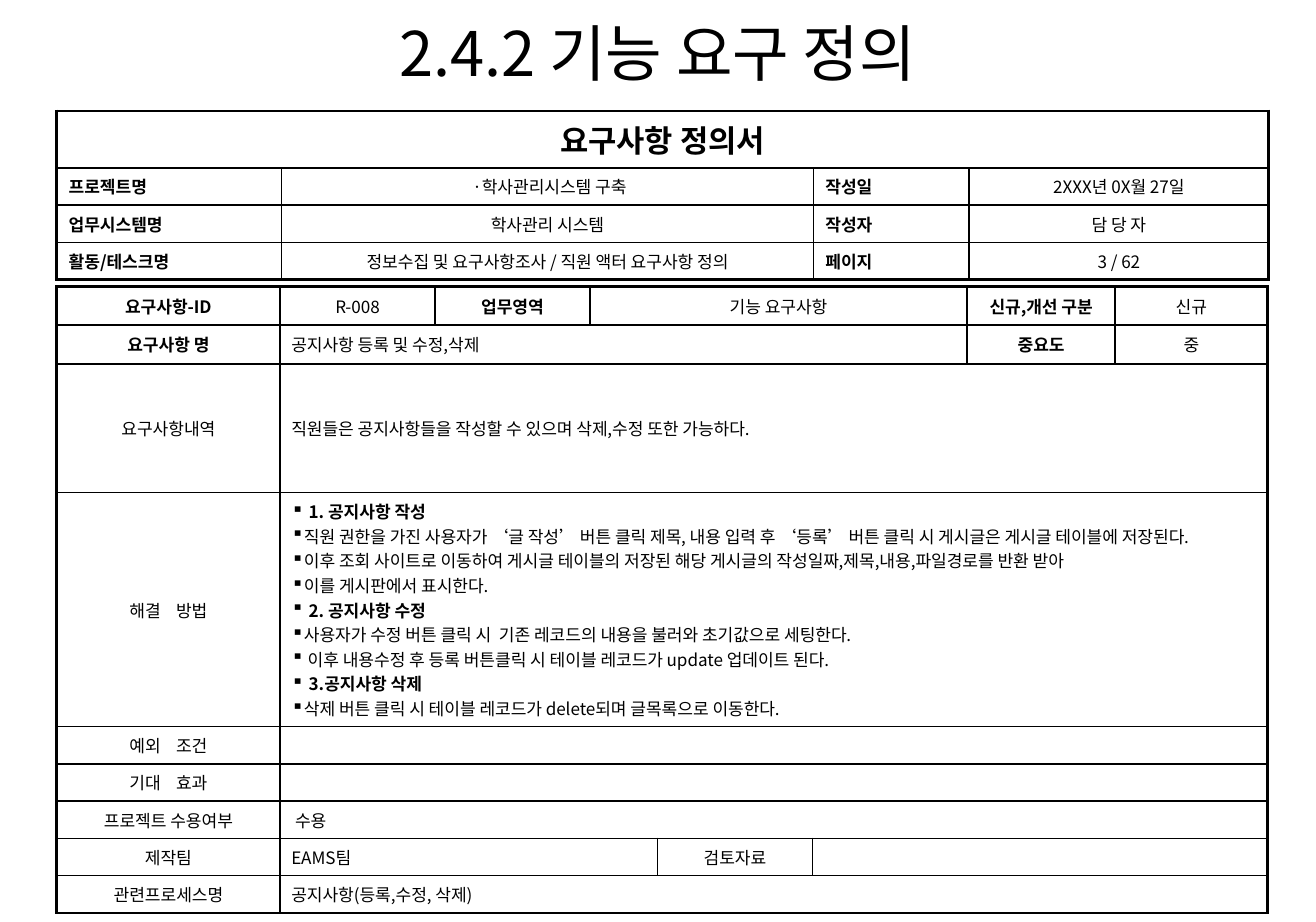
from dataclasses import dataclass

from lxml import etree
from pptx import Presentation
from pptx.dml.color import RGBColor
from pptx.enum import text
from pptx.oxml.ns import qn
from pptx.util import Cm, Pt


@dataclass(frozen=True)
class Theme:
    font: str = "Noto Sans CJK KR"
    ink: str = "000000"
    title: int = 36
    heading: int = 18
    body: int = 10
    thin: float = 1
    thick: float = 1.5


THEME = Theme()
TITLE = "2.4.2 기능 요구 정의"

# A cell is (text, style, columns spanned).
# Styles: h heading, k justified bold, b centred bold, c centred, l left, m method list
OVERVIEW = dict(
    at=(1.17, 2.29), inset=0.25, thick_lines={0, 4},
    cols=[4.65, 10.99, 3.22, 6.19], rows=[1.18] + [0.76] * 3,
    cells=[
        [("요구사항 정의서", "h", 4)],
        [("프로젝트명", "k", 1), (" ·학사관리시스템 구축", "c", 1),
         ("작성일", "k", 1), ("2XXX년 0X월 27일", "c", 1)],
        [("업무시스템명", "k", 1), ("학사관리 시스템", "c", 1),
         ("작성자", "k", 1), ("담 당 자", "c", 1)],
        [("활동/테스크명", "k", 1), ("정보수집 및 요구사항조사 / 직원 액터 요구사항 정의", "c", 1),
         ("페이지", "k", 1), ("3 / 62", "c", 1)],
    ])

METHOD = [
    ("1. 공지사항 작성", [
        "직원 권한을 가진 사용자가 ‘글 작성’ 버튼 클릭 제목, 내용 입력 후 ‘등록’ 버튼 클릭 시 게시글은 게시글 테이블에 저장된다.",
        "이후 조회 사이트로 이동하여 게시글 테이블의 저장된 해당 게시글의 작성일짜,제목,내용,파일경로를 반환 받아",
        "이를 게시판에서 표시한다."]),
    ("2. 공지사항 수정", [
        "사용자가 수정 버튼 클릭 시  기존 레코드의 내용을 불러와 초기값으로 세팅한다.",
        " 이후 내용수정 후 등록 버튼클릭 시 테이블 레코드가 update 업데이트 된다."]),
    ("3.공지사항 삭제", [
        "삭제 버튼 클릭 시 테이블 레코드가 delete되며 글목록으로 이동한다."]),
]
METHOD_LINES = [line for head, steps in METHOD
                for line in [(head, True)] + [(step, False) for step in steps]]

REQUIREMENT = dict(
    at=(1.17, 5.92), inset=0.23, thick_lines={0, 1, 2, 9},
    cols=[4.62, 3.2, 3.2, 1.4, 3.2, 3.2, 3.06, 3.15],
    rows=[0.8, 0.8, 2.66, 4.83] + [0.75] * 5,
    cells=[
        [("요구사항-ID", "b", 1), ("R-008", "c", 1), ("업무영역", "b", 1),
         ("기능 요구사항", "c", 3), ("신규,개선 구분", "b", 1), ("신규", "c", 1)],
        [("요구사항 명", "b", 1), ("공지사항 등록 및 수정,삭제", "l", 5),
         ("중요도", "b", 1), ("중", "c", 1)],
        [("요구사항내역", "c", 1),
         ("직원들은 공지사항들을 작성할 수 있으며 삭제,수정 또한 가능하다.", "l", 7)],
        [("해결    방법", "c", 1), ("\n".join(line for line, _ in METHOD_LINES), "m", 7)],
        [("예외    조건", "c", 1), ("", "l", 7)],
        [("기대    효과", "c", 1), ("", "l", 7)],
        [("프로젝트 수용여부", "c", 1), (" 수용", "l", 7)],
        [("제작팀", "c", 1), ("EAMS팀", "l", 3), ("검토자료", "c", 1), ("", "l", 3)],
        [("관련프로세스명", "c", 1), ("공지사항(등록,수정, 삭제)", "l", 7)],
    ])

ALIGN = dict(h=text.PP_ALIGN.CENTER, k=text.PP_ALIGN.JUSTIFY, b=text.PP_ALIGN.CENTER,
             c=text.PP_ALIGN.CENTER, l=text.PP_ALIGN.LEFT, m=text.PP_ALIGN.LEFT)


def format_paragraph(p, size, bold, align):
    p.alignment = align
    for r in p.runs:
        r.font.size, r.font.bold, r.font.name = Pt(size), bold, THEME.font
        r.font.color.rgb = RGBColor.from_string(THEME.ink)
        etree.SubElement(r.font._element, qn("a:ea"), typeface=THEME.font)
    if not p.runs:
        p._p.get_or_add_endParaRPr().set("sz", str(size * 100))


def add_bullet(p, hanging):
    pPr = p._p.get_or_add_pPr()
    pPr.set("marL", str(hanging))
    pPr.set("indent", str(-hanging))
    etree.SubElement(pPr, qn("a:buChar"), char="▪")


def draw_edge(cell, side, width):
    ln = etree.SubElement(cell._tc.get_or_add_tcPr(), qn("a:ln" + side), w=str(Pt(width)))
    fill = etree.SubElement(ln, qn("a:solidFill"))
    etree.SubElement(fill, qn("a:srgbClr"), val=THEME.ink)


def fill_cell(cell, content, style, inset):
    cell.margin_left = cell.margin_right = Cm(inset)
    cell.margin_top = cell.margin_bottom = Cm(0.13)
    cell.vertical_anchor = text.MSO_ANCHOR.MIDDLE
    cell.text_frame.text = content
    size = THEME.heading if style == "h" else THEME.body
    for i, p in enumerate(cell.text_frame.paragraphs):
        bold = METHOD_LINES[i][1] if style == "m" else style in "hkb"
        format_paragraph(p, size, bold, ALIGN[style])
        if style == "m":
            add_bullet(p, Cm(0.36) if bold else 0)


def add_form(s, form):
    cols, rows = form["cols"], form["rows"]
    left, top = form["at"]
    tbl = s.shapes.add_table(len(rows), len(cols), Cm(left), Cm(top),
                             Cm(sum(cols)), Cm(sum(rows))).table
    tbl.first_row = tbl.horz_banding = False
    for col, width in zip(tbl.columns, cols):
        col.width = Cm(width)
    for row, height in zip(tbl.rows, rows):
        row.height = Cm(height)

    def line_width(is_thick):
        return THEME.thick if is_thick else THEME.thin

    for i, entries in enumerate(form["cells"]):
        start = 0
        for content, style, span in entries:
            end = start + span
            for j in range(start, end):
                cell = tbl.cell(i, j)
                fill_cell(cell, content if j == start else "", style if j == start else "l",
                          form["inset"])
                if j == start:
                    draw_edge(cell, "L", line_width(start == 0))
                if j == start or j == end - 1:
                    draw_edge(cell, "R", line_width(end == len(cols)))
                draw_edge(cell, "T", line_width(i in form["thick_lines"]))
                draw_edge(cell, "B", line_width(i + 1 in form["thick_lines"]))
                cell.fill.background()
            if span > 1:
                tbl.cell(i, start).merge(tbl.cell(i, end - 1))
            start = end


def add_title(s):
    sp = s.shapes.title
    sp.left, sp.top, sp.width, sp.height = Cm(4.55), Cm(0.18), Cm(18.08), Cm(2)
    tf = sp.text_frame
    tf.text = TITLE
    tf.word_wrap = True
    tf.auto_size = text.MSO_AUTO_SIZE.NONE
    tf.vertical_anchor = text.MSO_ANCHOR.TOP
    format_paragraph(tf.paragraphs[0], THEME.title, False, text.PP_ALIGN.CENTER)


def main():
    prs = Presentation()
    prs.slide_width, prs.slide_height = Cm(27.2), Cm(19.05)
    s = prs.slides.add_slide(prs.slide_layouts[5])
    add_title(s)
    for form in (OVERVIEW, REQUIREMENT):
        add_form(s, form)
    prs.save("out.pptx")


if __name__ == "__main__":
    main()
